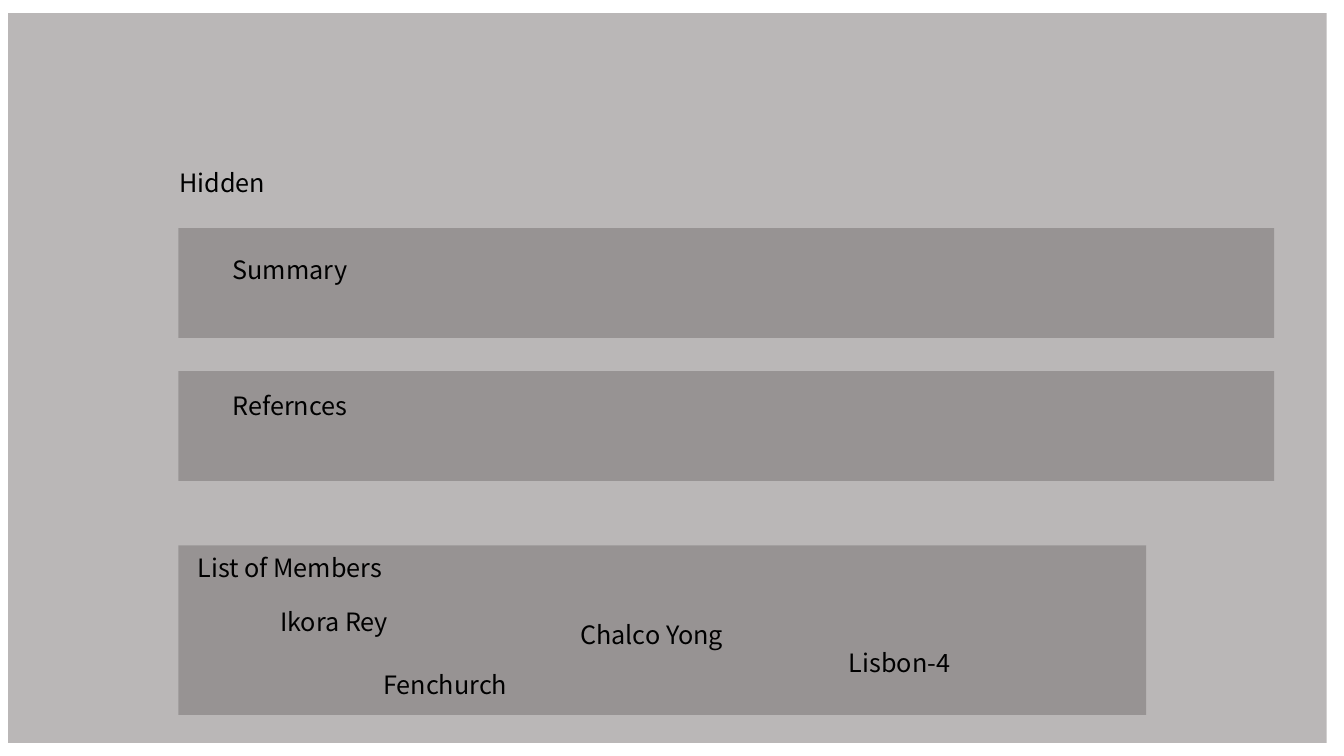
from lxml.etree import SubElement
from pptx import Presentation
from pptx.dml.color import RGBColor
from pptx.enum.shapes import MSO_SHAPE
from pptx.enum.text import MSO_AUTO_SIZE, PP_ALIGN
from pptx.oxml.ns import qn
from pptx.util import Pt


def paint(color_owner, hex_color, opacity=100):
    """Colour a solid fill or a font, optionally see-through (percent)."""
    color = color_owner.fore_color if hasattr(color_owner, "fore_color") else color_owner.color
    color.rgb = RGBColor.from_string(hex_color)
    if opacity < 100:
        # The fill's colour element takes the transparency as a child
        rgb = color_owner._xPr.find(".//" + qn("a:srgbClr"))
        SubElement(rgb, qn("a:alpha"), val=str(opacity * 1000))


deck = Presentation()
deck.slide_width, deck.slide_height = Pt(960), Pt(540)
slide = deck.slides.add_slide(deck.slide_layouts[6])

# Page backdrop and the three sections: left, top, width, height
section_left = 127.5
panels = [
    (5.8, 9.4, 941.8, 521.3),
    (section_left, 162.9, 782.6, 78.5),
    (section_left, 265.1, 782.6, 78.5),
    (section_left, 389.6, 691.2, 121),
]
for bounds in panels:
    panel = slide.shapes.add_shape(MSO_SHAPE.RECTANGLE, *map(Pt, bounds))
    panel.shadow.inherit = False
    panel.fill.solid()
    paint(panel.fill, "767171", opacity=50)
    panel.line.fill.background()

# Headings and member names: text, left, top
labels = [
    ("Hidden", 79.2, 115.9),
    ("Summary", section_left, 178),
    ("Refernces", section_left, 275.2),
    ("List of Members", section_left, 391),
    ("Ikora Rey", 159.1, 429.7),
    ("Chalco Yong", 385.9, 438.7),
    ("Lisbon-4", 563, 458.8),
    ("Fenchurch", 238.5, 474.5),
]
for wording, left, top in labels:
    label = slide.shapes.add_textbox(Pt(left), Pt(top), Pt(159.1), Pt(29.1))
    frame = label.text_frame
    frame.word_wrap = True
    frame.auto_size = MSO_AUTO_SIZE.SHAPE_TO_FIT_TEXT
    frame.text = wording
    paragraph = frame.paragraphs[0]
    paragraph.alignment = PP_ALIGN.CENTER
    font = paragraph.runs[0].font
    font.name, font.size = "Noto Sans CJK KR", Pt(18)
    paint(font, "000000")

deck.save("out.pptx")
